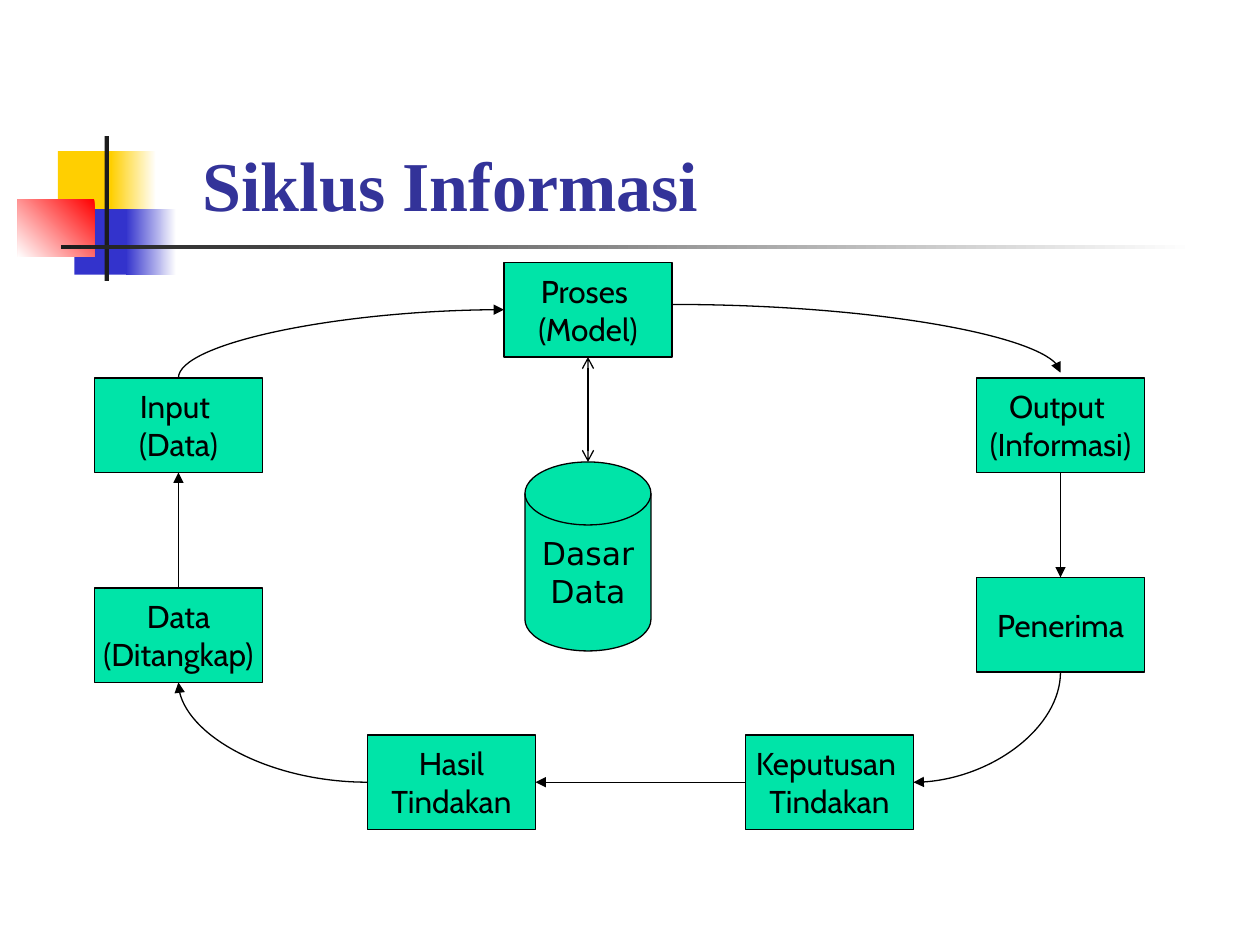
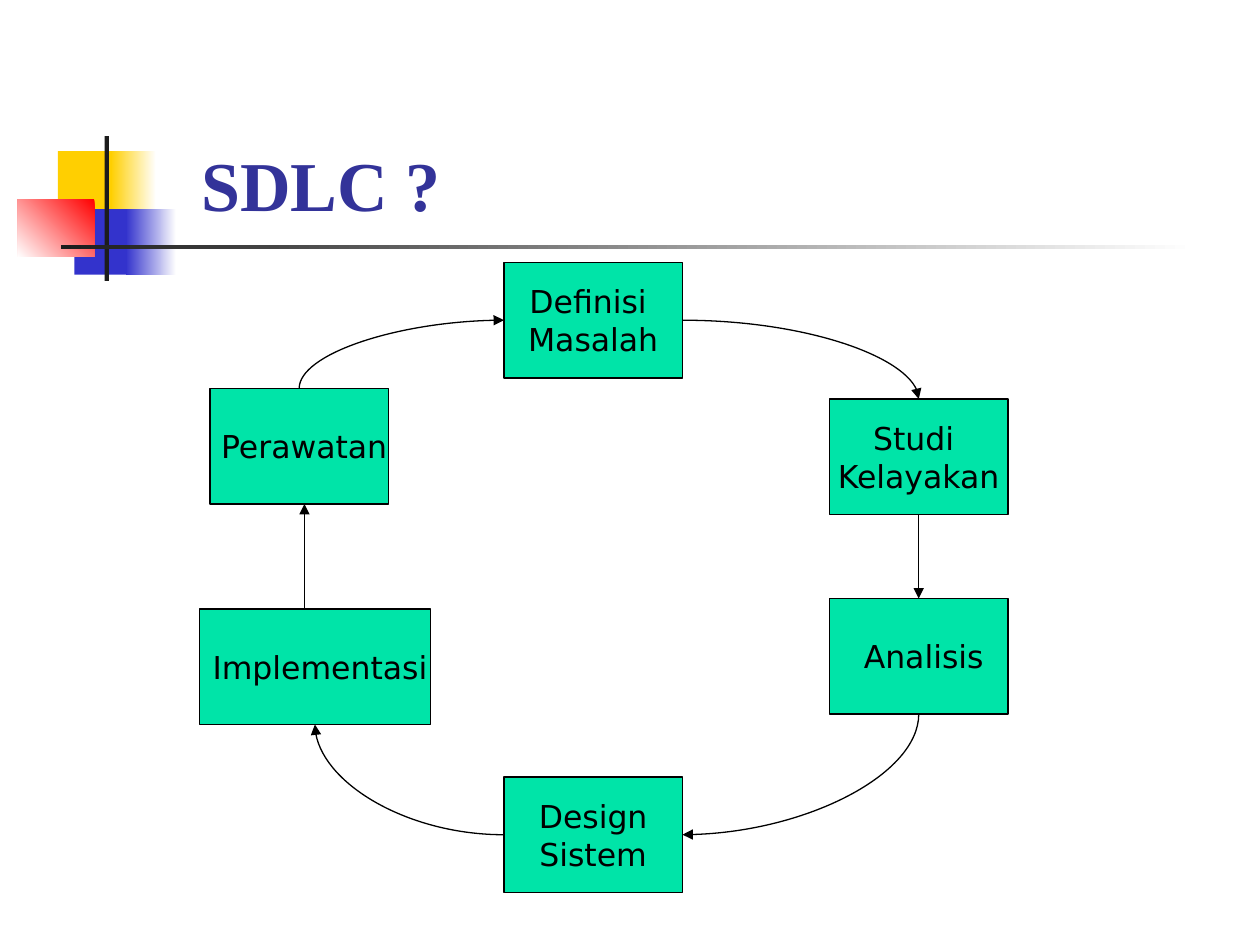
from pptx import Presentation
from pptx.dml.color import RGBColor
from pptx.enum.shapes import MSO_CONNECTOR, MSO_SHAPE
from pptx.enum.text import MSO_ANCHOR, PP_ALIGN
from pptx.oxml.ns import qn
from pptx.oxml.xmlchemy import OxmlElement
from pptx.util import Pt

RECT = MSO_SHAPE.RECTANGLE
DISK = MSO_SHAPE.FLOWCHART_MAGNETIC_DISK
LINE = MSO_CONNECTOR.STRAIGHT
CURVE = MSO_CONNECTOR.CURVE
MIDDLE = MSO_ANCHOR.MIDDLE
BOTTOM = MSO_ANCHOR.BOTTOM
LEFT = PP_ALIGN.LEFT
CENTER = PP_ALIGN.CENTER

WHITE, BLACK, DARK = "FFFFFF", "000000", "1C1C1C"
GOLD, BLUE, RED = "FFCF01", "3333CC", "FF0000"
NAVY, GREEN = "333399", "00E4A8"
SERIF, CABIN, SANS = "Times New Roman", "Cabin", "DejaVu Sans"
THIN = 0.74

DECOR = [
    ((33.12, 86.4, 34.56, 37.44), [GOLD], 0),
    ((63.36, 86.4, 25.92, 37.44), [WHITE, GOLD], 180),
    ((42.48, 119.52, 33.12, 37.44), [BLUE], 0),
    ((72, 119.52, 28.8, 37.44), [WHITE, BLUE], 180),
    ((10.08, 113.76, 43.92, 33.12), [RED, WHITE], 225),
    ((59.76, 77.76, 2.5, 82.8), [DARK], 0),
    ((34.7, 140.1, 648, 2.5), [WHITE, DARK], 180),
]

INFO_BOXES = [
    ("Proses \n(Model)", 288, 150),
    ("Input \n(Data)", 54, 216),
    ("Data\n(Ditangkap)", 54, 336),
    ("Hasil\nTindakan", 210, 420),
    ("Keputusan \nTindakan", 426, 420),
    ("Output \n(Informasi)", 558, 216),
    ("Penerima", 558, 330),
]
INFO_LINKS = [
    ("up", 102, 216, 288, 177),
    ("line", 102, 336, 102, 270),
    ("side", 210, 447, 102, 390),
    ("line", 426, 447, 306, 447),
    ("up", 606, 384, 522, 447),
    ("line", 606, 270, 606, 330),
    ("side", 384, 174, 606, 213),
]

SDLC_BOXES = [
    ("Definisi \nMasalah", 288, 150, 102),
    ("Studi \nKelayakan", 474, 228, 102),
    (" Analisis", 474, 342, 102),
    (" Design \nSistem", 288, 444, 102),
    (" Implementasi", 114, 348, 132),
    (" Perawatan", 120, 222, 102),
]
SDLC_LINKS = [
    ("side", 390, 183, 525, 228),
    ("line", 525, 294, 525, 342),
    ("up", 525, 408, 390, 477),
    ("side", 288, 477, 180, 414),
    ("up", 171, 222, 288, 183),
    ("line", 174, 348, 174, 288),
]


def color(code):
    """Turn a hex string into a colour."""
    return RGBColor.from_string(code)


def write(shape, text, font, size, ink, align, anchor, bold=False):
    """Put styled text into a shape."""
    frame = shape.text_frame
    frame.text = text
    frame.vertical_anchor = anchor
    for para in frame.paragraphs:
        para.alignment = align
        for run in para.runs:
            run.font.name = font
            run.font.size = Pt(size)
            run.font.bold = bold
            run.font.color.rgb = color(ink)


def shape(slide, kind, area, tints, angle=0):
    """Add a lineless shape with a plain or gradient fill."""
    item = slide.shapes.add_shape(kind, *map(Pt, area))
    item.shadow.inherit = False
    item.line.fill.background()
    if len(tints) == 1:
        item.fill.solid()
        item.fill.fore_color.rgb = color(tints[0])
    else:
        item.fill.gradient()
        item.fill.gradient_angle = angle
        for stop, tint in zip(item.fill.gradient_stops, tints):
            stop.color.rgb = color(tint)
    return item


def outline(item):
    """Give a shape or connector the thin black line."""
    item.line.color.rgb = color(BLACK)
    item.line.width = Pt(THIN)


def node(slide, text, area, font, kind=RECT):
    """Add a green labelled step of the cycle."""
    item = shape(slide, kind, area, [GREEN])
    outline(item)
    write(item, text, font, 18, BLACK, CENTER, MIDDLE)
    item.text_frame.word_wrap = False


def link(slide, way, x1, y1, x2, y2, head=None, tail="triangle"):
    """Join two points, straight or curved, leaving sideways or upright."""
    if way == "up":
        mx, my = (x1 + x2) / 2, (y1 + y2) / 2
        dx, dy = (x2 - x1) / 2, (y2 - y1) / 2
        x1, y1, x2, y2 = mx - dy, my + dx, mx + dy, my - dx
    kind = LINE if way == "line" else CURVE
    item = slide.shapes.add_connector(kind, *map(Pt, (x1, y1, x2, y2)))
    outline(item)
    props = item.element.spPr
    if kind == CURVE:
        props.find(qn("a:prstGeom")).set("prst", "curvedConnector2")
    if way == "up":
        props.find(qn("a:xfrm")).set("rot", "5400000")
    for tag, tip in (("a:headEnd", head), ("a:tailEnd", tail)):
        if tip:
            end = OxmlElement(tag)
            end.set("type", tip)
            props.find(qn("a:ln")).append(end)
    props.append(OxmlElement("a:effectLst"))


def page(deck, title, area):
    """Add a slide with the shared ornament and a title."""
    slide = deck.slides.add_slide(deck.slide_layouts[6])
    for place, tints, angle in DECOR:
        shape(slide, RECT, place, tints, angle)
    box = slide.shapes.add_textbox(*map(Pt, area))
    box.text_frame.word_wrap = True
    write(box, title, SERIF, 40, NAVY, LEFT, BOTTOM, True)
    return slide


def info(deck):
    """Build the information cycle."""
    slide = page(deck, "Siklus Informasi", (108.72, 72, 527, 60.5))
    for text, x, y in INFO_BOXES:
        node(slide, text, (x, y, 96, 54), CABIN)
    for spot in INFO_LINKS:
        link(slide, *spot)
    node(slide, "Dasar\nData", (300, 264, 72, 108), SANS, DISK)
    link(slide, "line", 336, 204, 336, 264, "arrow", "arrow")


def sdlc(deck):
    """Build the development life cycle."""
    slide = page(deck, "SDLC ?", (108, 24, 600, 108.5))
    for text, x, y, wide in SDLC_BOXES:
        node(slide, text, (x, y, wide, 66), SANS)
    for spot in SDLC_LINKS:
        link(slide, *spot)


def main():
    """Build and save the deck."""
    deck = Presentation()
    deck.slide_width, deck.slide_height = Pt(720), Pt(540)
    info(deck)
    sdlc(deck)
    deck.save("out.pptx")


main()
